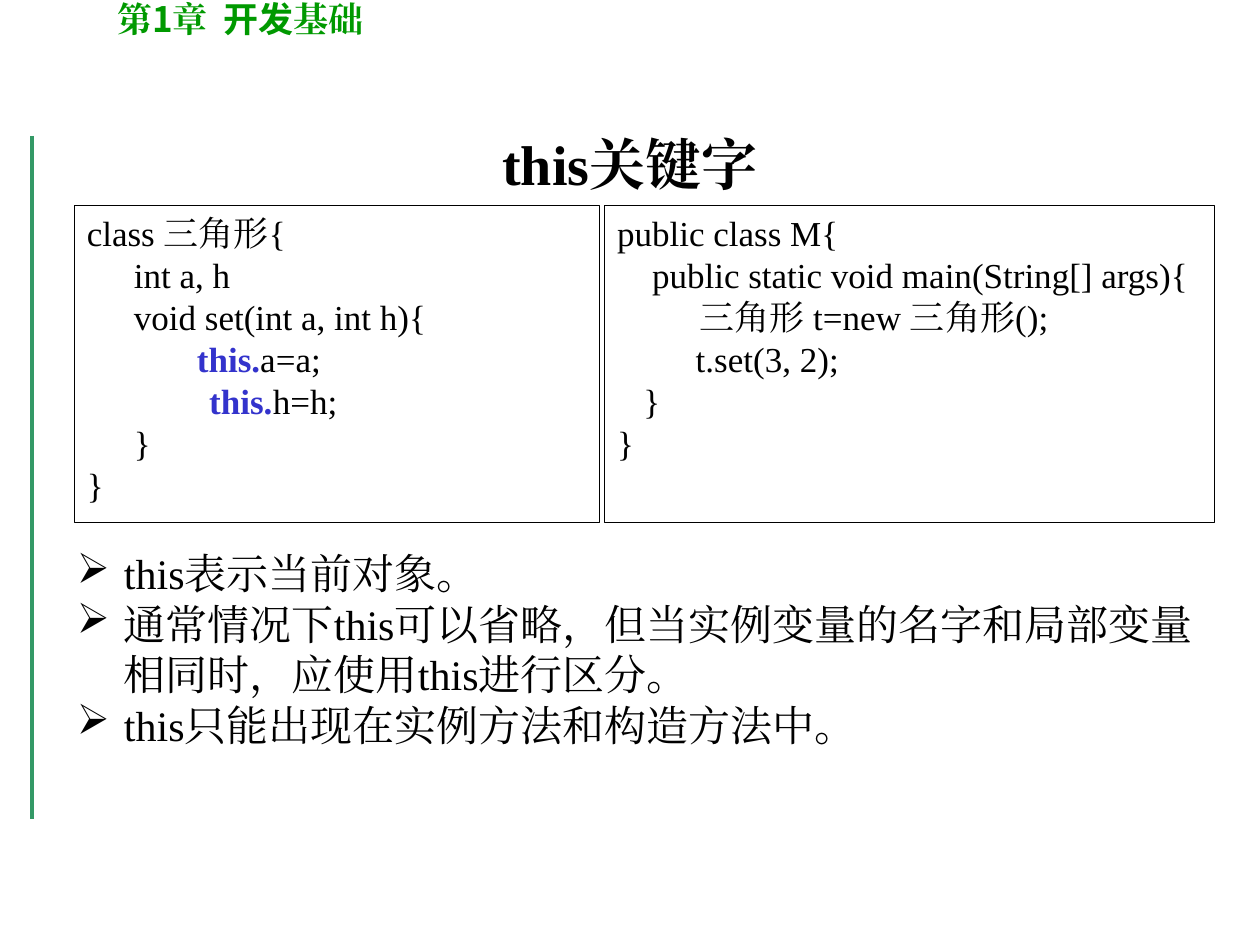
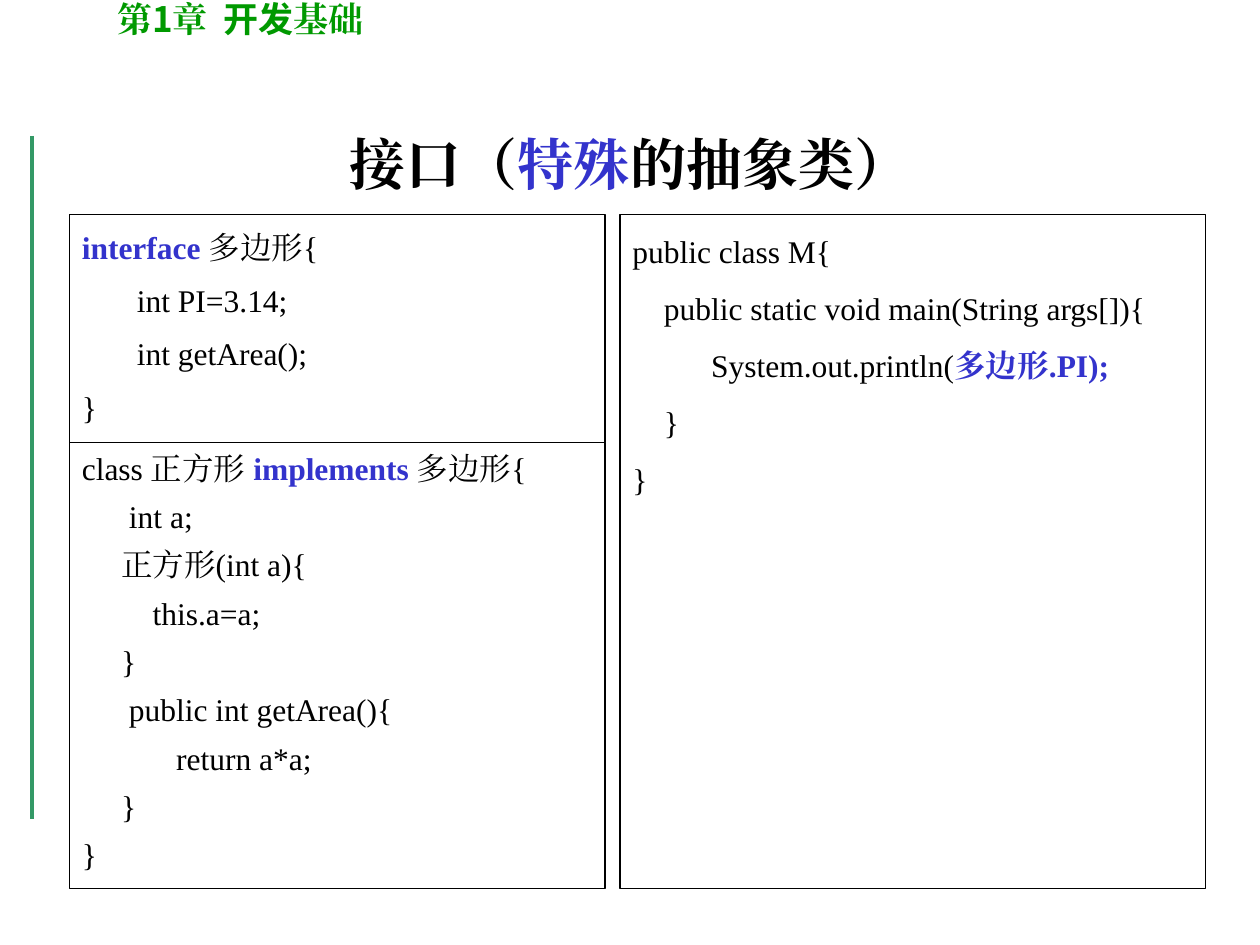
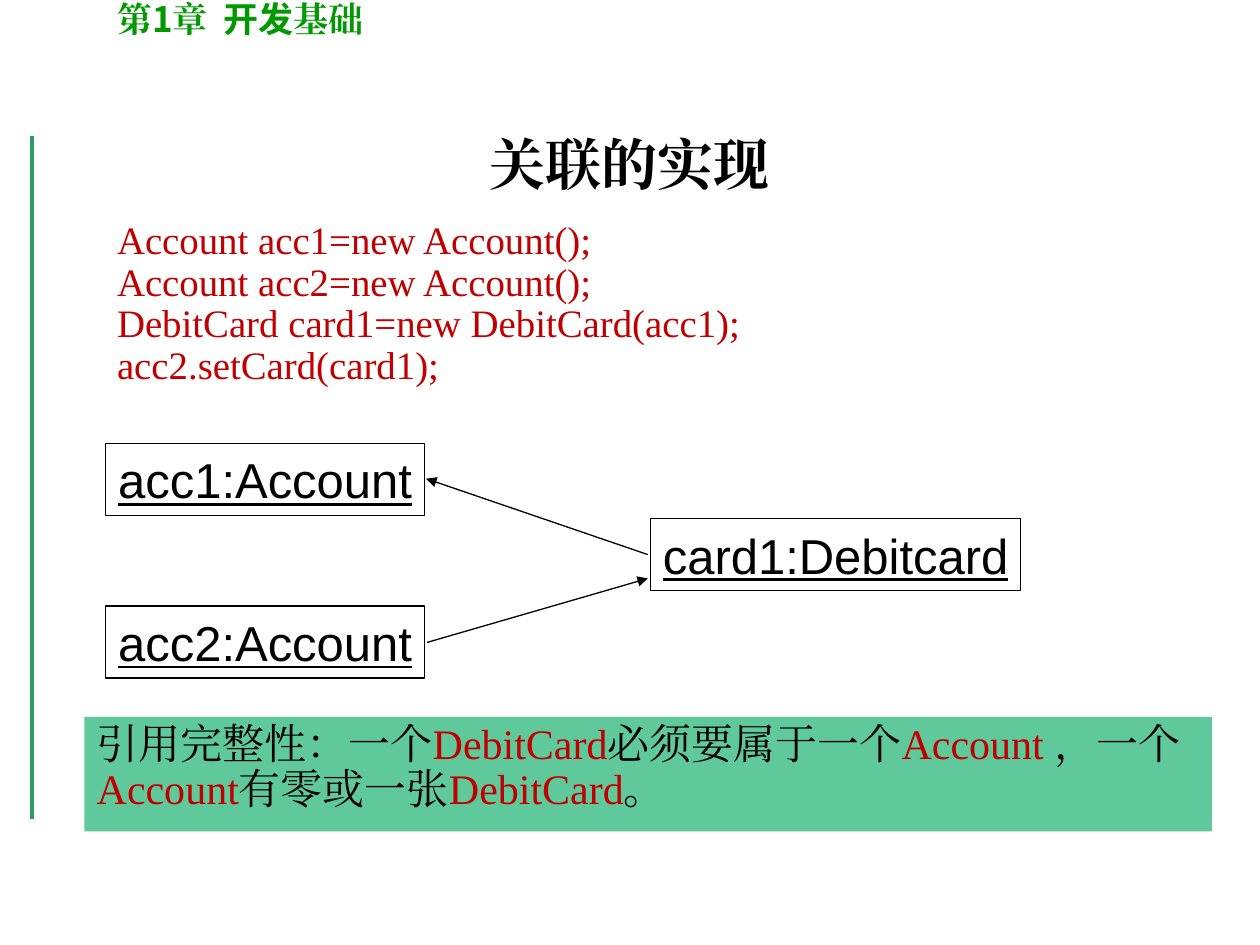
from lxml import etree
from pptx import Presentation
from pptx.dml.color import RGBColor
from pptx.enum.shapes import MSO_CONNECTOR, MSO_SHAPE
from pptx.enum.text import MSO_ANCHOR, MSO_AUTO_SIZE, PP_ALIGN
from pptx.oxml.ns import qn
from pptx.util import Cm, Pt

RECTANGLE = MSO_SHAPE.RECTANGLE
STRAIGHT = MSO_CONNECTOR.STRAIGHT
TOP, MIDDLE = MSO_ANCHOR.TOP, MSO_ANCHOR.MIDDLE
LEFT, CENTER = PP_ALIGN.LEFT, PP_ALIGN.CENTER
NO_AUTOFIT = MSO_AUTO_SIZE.NONE

SERIF, SANS, CJK = "Times New Roman", "Arial", "Noto Sans CJK SC"
BLACK, BLUE, RED = "000000", "3333CC", "C00000"
CHAPTER_GREEN, RAIL_GREEN, NOTE_GREEN = "009900", "339966", "60C99C"
KEYWORD = {"color": BLUE, "bold": True}
CLASS_NAME = {"color": RED}
CODE_TOP = 4.32
HANGING = 0.95
TAB_STEP = 2.54


def rgb(value):
    return RGBColor.from_string(value)


def sub(parent, tag, **attributes):
    return etree.SubElement(parent, qn(tag), attributes)


class Deck:
    def __init__(self):
        self.presentation = Presentation()
        self.presentation.slide_width = Cm(25.4)
        self.presentation.slide_height = Cm(19.05)
        self.slide = None

    def add_slide(self, *title_parts):
        layout = self.presentation.slide_layouts[5]
        self.slide = self.presentation.slides.add_slide(layout)
        self.line((0.64, 2.74), (0.64, 16.51), RAIL_GREEN, 2.25)
        in_cjk = {"font": CJK}
        chapter = ["第", ("1", in_cjk), "章", ("  开发", in_cjk), "基础"]
        self.text((2.11, -0.18, 14.6, 1.12), [chapter], size=20,
                  color=CHAPTER_GREEN, bold=True)
        title = self.slide.shapes.title
        title.left, title.top, title.width, title.height = map(Cm, (1.9, 1.7, 21.6, 3.18))
        self.fill_text(title.text_frame, [title_parts], size=32, bold=True,
                       align=CENTER, anchor=MIDDLE)

    def add_run(self, paragraph, text, size, color, font, bold, underline):
        run = paragraph.add_run()
        run.text = text
        run.font.size = Pt(size)
        run.font.bold = bold
        run.font.underline = underline
        run.font.color.rgb = rgb(color)
        run.font.name = font
        sub(run._r.get_or_add_rPr(), "a:ea", typeface=font)

    def fill_text(self, frame, lines, size, color=BLACK, font=SERIF, bold=False,
                  underline=False, align=LEFT, anchor=TOP, spacing=1, before=0,
                  hanging=False, bullet=None, wrap=True):
        frame.word_wrap = wrap
        frame.auto_size = NO_AUTOFIT
        frame.vertical_anchor = anchor
        for index, line in enumerate(lines):
            paragraph = frame.add_paragraph() if index else frame.paragraphs[0]
            paragraph.alignment = align
            paragraph.line_spacing = spacing
            paragraph.space_before = Pt(before if index else 0)
            properties = paragraph._p.get_or_add_pPr()
            if hanging:
                properties.set("marL", str(Cm(HANGING)))
                properties.set("indent", str(-Cm(HANGING)))
            if bullet:
                sub(properties, "a:buChar", char=bullet)
            elif hanging:
                tabs = sub(properties, "a:tabLst")
                for step in range(8):
                    sub(tabs, "a:tab", pos=str(Cm(TAB_STEP * step)), algn="l")
            base = {"size": size, "color": color, "font": font,
                    "bold": bold, "underline": underline}
            for part in [line] if isinstance(line, str) else line:
                text, changes = (part, {}) if isinstance(part, str) else part
                self.add_run(paragraph, text, **{**base, **changes})

    def text(self, place, lines, **style):
        box = self.slide.shapes.add_textbox(*map(Cm, place))
        self.fill_text(box.text_frame, lines, **style)

    def box(self, place, lines, fill=None, **style):
        box = self.slide.shapes.add_shape(RECTANGLE, *map(Cm, place))
        box.shadow.inherit = False
        if fill:
            box.fill.solid()
            box.fill.fore_color.rgb = rgb(fill)
            box.line.fill.background()
        else:
            box.fill.background()
            box.line.color.rgb = rgb(BLACK)
            box.line.width = Pt(0.75)
        self.fill_text(box.text_frame, lines, **style)

    def code(self, place, lines, **style):
        self.box(place, lines, hanging=True, **style)

    def instance(self, left, top, width, label):
        self.box((left, top, width, 1.45), [label], size=28, font=SANS,
                 underline=True, align=CENTER, anchor=MIDDLE, wrap=False)

    def line(self, start, end, color=BLACK, width=0.75, arrow=False):
        line = self.slide.shapes.add_connector(STRAIGHT, *map(Cm, start + end))
        line.line.color.rgb = rgb(color)
        line.line.width = Pt(width)
        properties = line._element.spPr
        if arrow:
            sub(properties.find(qn("a:ln")), "a:tailEnd", type="triangle")
        sub(properties, "a:effectLst")


def this_slide(deck):
    deck.add_slide("this关键字")
    deck.code((1.5, 4.14, 10.59, 6.4), [
        "class 三角形{",
        "\tint a, h",
        "\tvoid set(int a, int h){",
        ["\t\t", ("this.", KEYWORD), "a=a;"],
        [("              this.", KEYWORD), "h=h;"],
        "\t}",
        "}",
    ], size=20)
    deck.code((12.19, 4.14, 12.29, 6.4), [
        "public class M{",
        "    public static void main(String[] args){",
        "\t    三角形 t=new 三角形();",
        "         t.set(3, 2);",
        "   }",
        "}",
    ], size=20)
    deck.text((1.3, 10.92, 23.8, 4.32), [
        "this表示当前对象。",
        "通常情况下this可以省略，但当实例变量的名字和局部变量相同时，应使用this进行区分。",
        "this只能出现在实例方法和构造方法中。",
    ], size=24, hanging=True, bullet="➢")


def interface_slide(deck):
    deck.add_slide("接口（", ("特殊", {"color": BLUE}), "的抽象类）")
    deck.code((1.4, CODE_TOP, 10.8, 4.6), [
        [("interface ", KEYWORD), "多边形{"],
        "       int PI=3.14;",
        "       int getArea();",
        "}",
    ], size=18, spacing=1.2, before=4.5)
    deck.code((1.4, 8.92, 10.8, 8.99), [
        ["class 正方形 ", ("implements ", KEYWORD), "多边形{"],
        "      int a;",
        "     正方形(int a){",
        "         this.a=a;",
        "     }",
        "      public int getArea(){",
        "            return a*a;",
        "     }",
        "}",
    ], size=18, before=6)
    deck.code((12.5, CODE_TOP, 11.81, 13.59), [
        "public class M{",
        "    public static void main(String args[]){",
        ["          System.out.println(", ("多边形.PI);", KEYWORD)],
        "    }",
        "}",
    ], size=18, spacing=1.3, before=4.5)


def association_slide(deck):
    deck.add_slide("关联的实现")
    deck.text((2.11, CODE_TOP, 14.66, 4.24), [
        "Account acc1=new Account();",
        "Account acc2=new Account();",
        "DebitCard card1=new DebitCard(acc1);",
        "acc2.setCard(card1);",
    ], size=22.2, color=RED, spacing=0.9)
    deck.instance(2.13, 8.94, 6.43, "acc1:Account")
    deck.instance(2.13, 12.22, 6.43, "acc2:Account")
    deck.instance(13.11, 10.46, 7.47, "card1:Debitcard")
    deck.line((13.06, 11.18), (8.59, 9.65), arrow=True)
    deck.line((8.61, 12.95), (13.06, 11.66), arrow=True)
    deck.box((1.7, 14.45, 22.73, 2.31), [[
        "引用完整性：一个", ("DebitCard", CLASS_NAME),
        "必须要属于一个", ("Account ", CLASS_NAME),
        "，一个", ("Account", CLASS_NAME),
        "有零或一张", ("DebitCard", CLASS_NAME), "。",
    ]], fill=NOTE_GREEN, size=24, spacing=0.9)


def main():
    deck = Deck()
    this_slide(deck)
    interface_slide(deck)
    association_slide(deck)
    deck.presentation.save("out.pptx")


if __name__ == "__main__":
    main()
